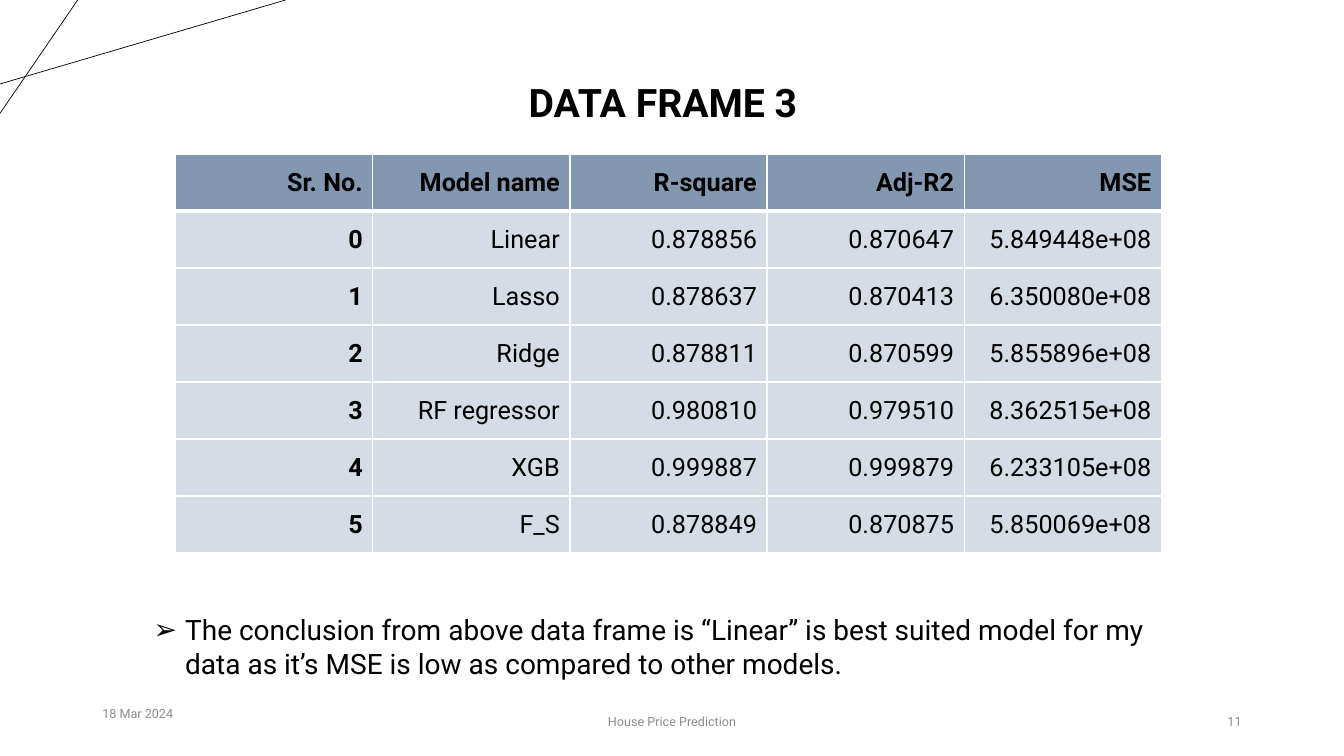
from dataclasses import dataclass

from lxml.etree import SubElement
from pptx import Presentation
from pptx.dml.color import RGBColor
from pptx.enum.shapes import MSO_CONNECTOR as Connector
from pptx.enum.text import MSO_ANCHOR as Anchor, MSO_AUTO_SIZE as AutoSize, PP_ALIGN as Align
from pptx.oxml.ns import qn
from pptx.util import Pt


@dataclass(frozen=True)
class Theme:
    font: str = "Roboto"
    ink: str = "000000"
    muted: str = "8C8C8C"
    header_fill: str = "8497B0"
    row_fill: str = "D6DCE5"
    border: str = "FFFFFF"
    title_size: int = 28
    body_size: int = 20
    table_size: int = 18
    footer_size: int = 9


THEME = Theme()

MODELS = [
    ("Sr. No.", "Model name", "R-square", "Adj-R2", "MSE"),
    ("0", "Linear", "0.878856", "0.870647", "5.849448e+08"),
    ("1", "Lasso", "0.878637", "0.870413", "6.350080e+08"),
    ("2", "Ridge", "0.878811", "0.870599", "5.855896e+08"),
    ("3", "RF regressor", "0.980810", "0.979510", "8.362515e+08"),
    ("4", "XGB", "0.999887", "0.999879", "6.233105e+08"),
    ("5", "F_S", "0.878849", "0.870875", "5.850069e+08"),
]
CONCLUSION = (
    "The conclusion from above data frame is “Linear” is best suited model for my "
    "data as it’s MSE is low as compared to other models."
)
CORNER_LINES = [(0, 60, 204, 0), (55.5, 0, 0, 81)]
FOOTERS = [
    ("18 Mar 2024", (66, 495, 216, 29), Align.LEFT),
    ("House Price Prediction", (318, 500.5, 324, 29), Align.CENTER),
    ("11", (678, 500.5, 216, 29), Align.RIGHT),
]


def apply(target, values):
    for name, value in values.items():
        setattr(target, name, value)


def place(shape, box):
    apply(shape, dict(zip(("left", "top", "width", "height"), map(Pt, box))))


def write(frame, text, size, color=THEME.ink, bold=False, align=Align.LEFT):
    paragraph = frame.paragraphs[0]
    apply(paragraph, {"alignment": align, "space_before": Pt(0)})
    run = paragraph.add_run()
    run.text = text
    apply(run.font, {"name": THEME.font, "size": Pt(size), "bold": bold})
    run.font.color.rgb = RGBColor.from_string(color)
    return paragraph


def fill_placeholder(shape, box, text, size, **style):
    place(shape, box)
    apply(shape.text_frame, {
        "word_wrap": True, "auto_size": AutoSize.NONE, "vertical_anchor": Anchor.TOP,
    })
    return write(shape.text_frame, text, size, **style)


def set_bullet(paragraph, symbol, indent):
    properties = paragraph._p.get_or_add_pPr()
    properties.set("marL", str(Pt(indent)))
    properties.set("indent", str(-Pt(indent)))
    SubElement(properties, qn("a:buChar"), char=symbol)


def add_corner_line(slide, ends):
    line = slide.shapes.add_connector(Connector.STRAIGHT, *map(Pt, ends))
    line.line.width = Pt(0.5)
    line.line.color.rgb = RGBColor.from_string(THEME.ink)
    SubElement(line._element.spPr, qn("a:effectLst"))


def add_footer(slide, text, box, align):
    shape = slide.shapes.add_textbox(*map(Pt, box))
    apply(shape.text_frame, {"word_wrap": True, "vertical_anchor": Anchor.MIDDLE})
    write(shape.text_frame, text, THEME.footer_size, THEME.muted, align=align)


def set_borders(cell, widths):
    properties = cell._tc.get_or_add_tcPr()
    for side, width in widths.items():
        border = SubElement(properties, qn(f"a:ln{side}"), w=str(Pt(width)))
        solid = SubElement(border, qn("a:solidFill"))
        SubElement(solid, qn("a:srgbClr"), val=THEME.border)


def add_model_table(slide, rows, box):
    shape = slide.shapes.add_table(len(rows), len(rows[0]), *map(Pt, box))
    table = shape.table
    table.horz_banding = False
    for row in table.rows:
        row.height = Pt(box[3] / len(rows))
    for row_index, values in enumerate(rows):
        header = row_index == 0
        for column_index, text in enumerate(values):
            cell = table.cell(row_index, column_index)
            set_borders(cell, {
                "L": 1, "R": 1, "T": 3 if row_index == 1 else 1, "B": 3 if header else 1,
            })
            cell.fill.solid()
            cell.fill.fore_color.rgb = RGBColor.from_string(
                THEME.header_fill if header else THEME.row_fill)
            cell.vertical_anchor = Anchor.MIDDLE
            write(cell.text_frame, text, THEME.table_size,
                  bold=header or column_index == 0, align=Align.RIGHT)


def main():
    presentation = Presentation()
    apply(presentation, {"slide_width": Pt(960), "slide_height": Pt(540)})
    slide = presentation.slides.add_slide(presentation.slide_layouts[1])
    for ends in CORNER_LINES:
        add_corner_line(slide, ends)
    for footer in FOOTERS:
        add_footer(slide, *footer)
    add_model_table(slide, MODELS, (125.5, 110, 704, 285))
    title, body = slide.placeholders
    fill_placeholder(title, (158.5, 52.5, 630, 41), "DATA FRAME 3",
                     THEME.title_size, bold=True, align=Align.CENTER)
    conclusion = fill_placeholder(body, (102.5, 434, 743, 78), CONCLUSION, THEME.body_size)
    set_bullet(conclusion, "➢", 22.5)
    presentation.save("out.pptx")


if __name__ == "__main__":
    main()
